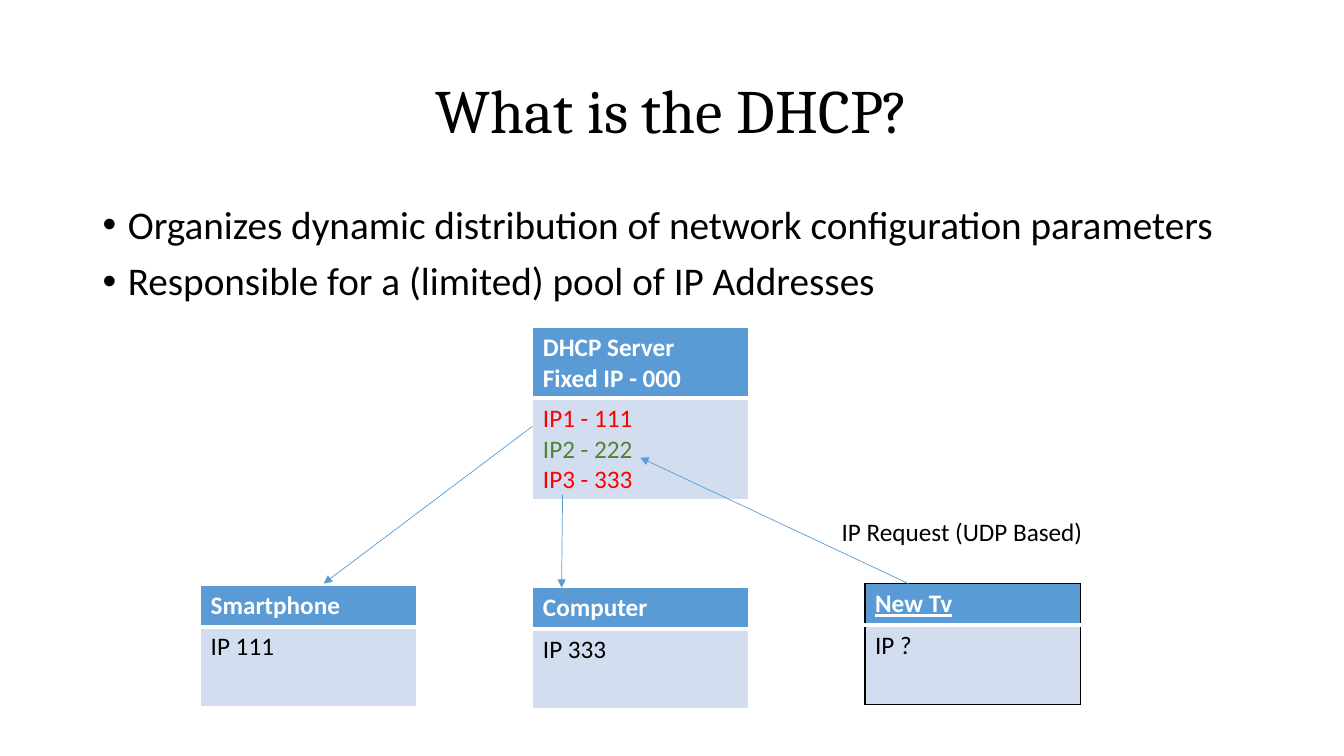
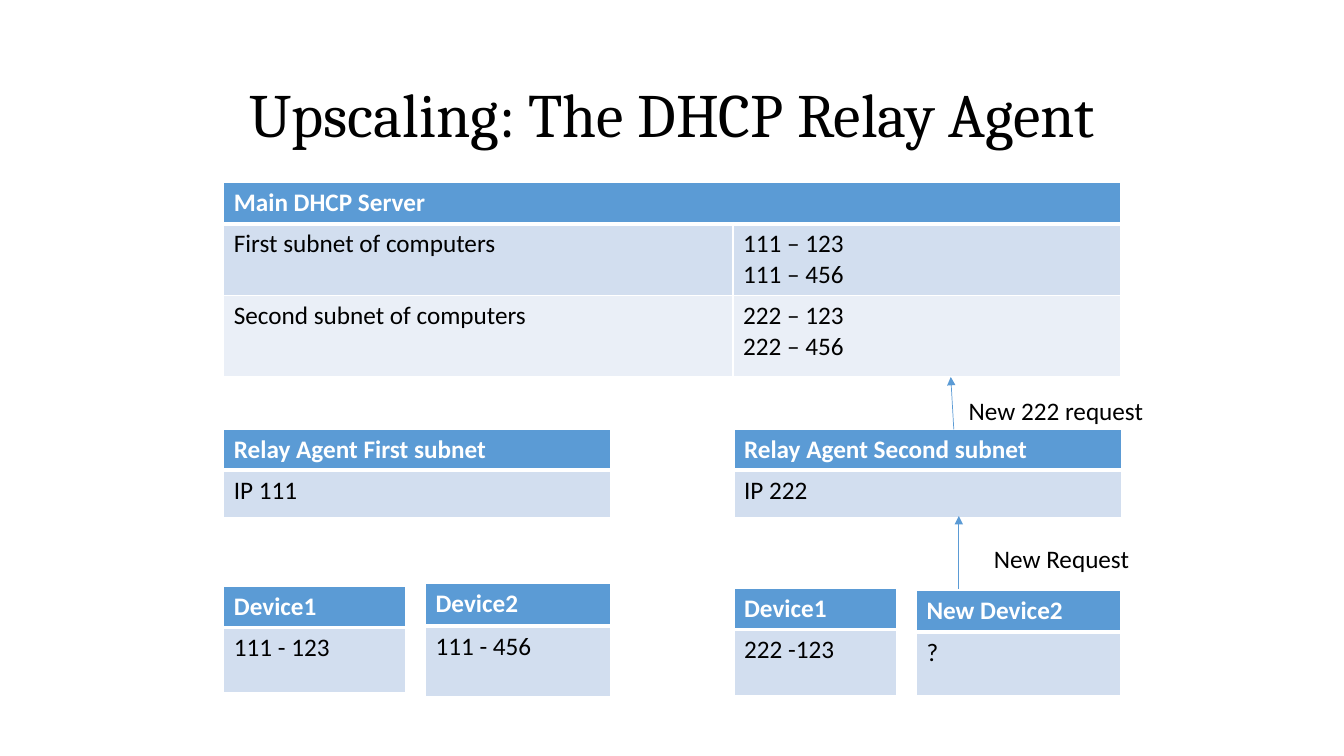
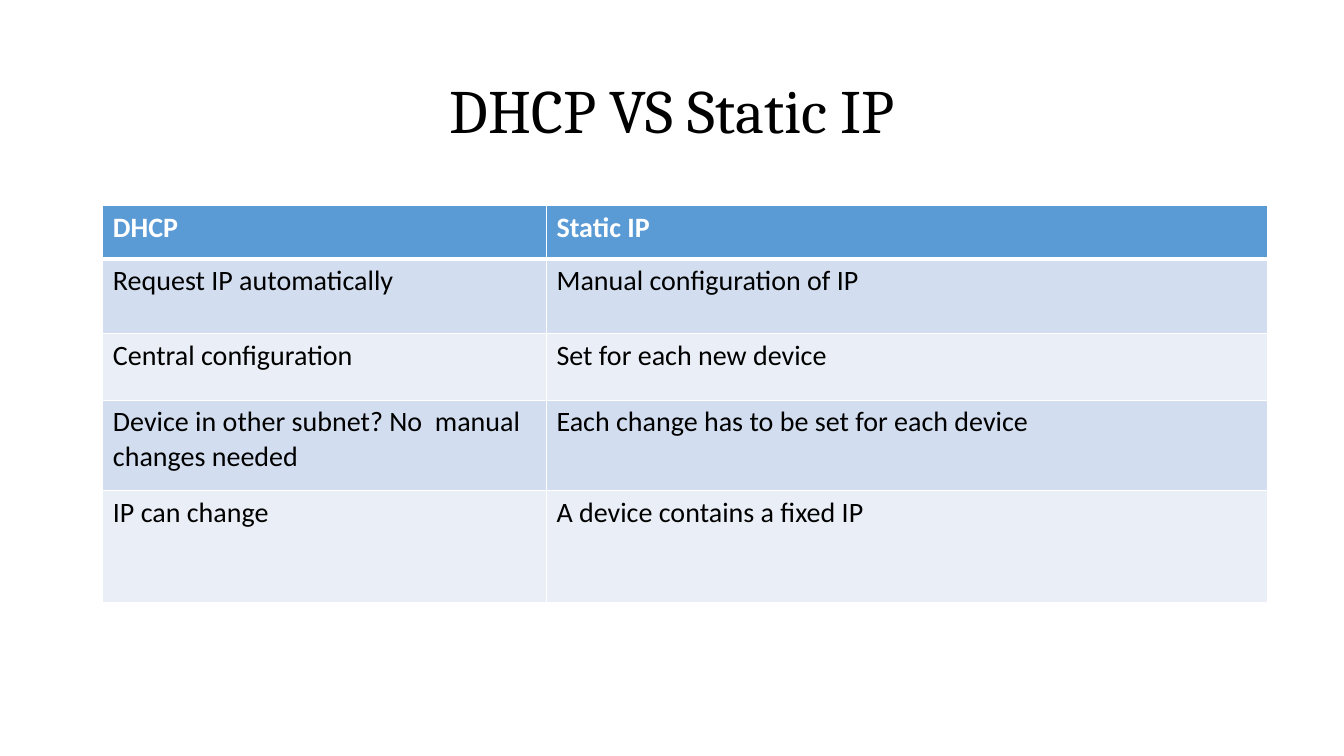
from itertools import cycle

from lxml import etree
from pptx import Presentation
from pptx.dml.color import RGBColor
from pptx.enum.shapes import MSO_CONNECTOR
from pptx.enum.text import MSO_ANCHOR, MSO_AUTO_SIZE, PP_ALIGN
from pptx.oxml.ns import qn
from pptx.util import Inches, Pt

STRAIGHT = MSO_CONNECTOR.STRAIGHT
MIDDLE = MSO_ANCHOR.MIDDLE
FIXED_SIZE = MSO_AUTO_SIZE.NONE
CENTER = PP_ALIGN.CENTER
LEFT = PP_ALIGN.LEFT

COLOURS = {
    "black": "000000",
    "white": "FFFFFF",
    "header": "5B9BD5",
    "dark_band": "D2DEEF",
    "light_band": "EAEFF7",
    "taken": "FF0000",
    "free": "548235",
}
BANDS = ("dark_band", "light_band")
HEADING_FONT, BODY_FONT = "Cambria", "Calibri"
SLIDE_WIDTH, SLIDE_HEIGHT = 13.33, 7.5
TITLE_LEFT, TITLE_WIDTH, TITLE_HEIGHT = 0.92, 11.5, 1.45

CLIENT_LEFT, CLIENT_STEP, CLIENT_WIDTH = 1.99, 3.295, 2.14
CLIENT_ROWS = (0.41, 0.79)
SERVER_LEFT = CLIENT_LEFT + CLIENT_STEP
FIRST_SUBNET, SECOND_SUBNET = 2.22, 7.28
RELAY_TOP, RELAY_WIDTH, RELAY_ROWS = 4.26, 3.84, (0.4, 0.47)

CLIENTS = [
    ("Smartphone", "IP 111", 5.81, {}),
    ("Computer", "IP 333", 5.83, {}),
    ("New Tv", "IP ?", 5.79, {"underline": True, "outline": "black"}),
]
RELAYS = [
    ("Relay Agent First subnet", "IP 111", FIRST_SUBNET),
    ("Relay Agent Second subnet", "IP 222", SECOND_SUBNET),
]
DEVICES = [
    ("Device1", "111 - 123", FIRST_SUBNET, 5.82, 1.8, (0.4, 0.65)),
    ("Device2", "111 - 456", 4.22, 5.79, 1.84, (0.42, 0.7)),
    ("Device1", "222 -123", SECOND_SUBNET, 5.84, 1.61, (0.4, 0.66)),
    ("New Device2", "?", 9.09, 5.86, 2.02, (0.41, 0.63)),
]
SUBNETS = [
    ["Main DHCP Server", ""],
    ["First subnet of computers", "111 – 123\n111 – 456"],
    ["Second subnet of computers", "222 – 123\n222 – 456"],
]
COMPARISON = [
    ["DHCP", "Static IP"],
    ["Request IP automatically", "Manual configuration of IP"],
    ["Central configuration", "Set for each new device"],
    ["Device in other subnet? No  manual changes needed",
     "Each change has to be set for each device"],
    ["IP can change", "A device contains a fixed IP"],
]

SLIDES = [
    {
        "title": "What is the DHCP?",
        "title_top": 0.4,
        "bullets": "Organizes dynamic distribution of network configuration parameters\n"
                   "Responsible for a (limited) pool of IP Addresses",
        "tables": [
            ([["DHCP Server\nFixed IP - 000"], ["IP1 - 111\nIP2 - 222\nIP3 - 333"]],
             SERVER_LEFT, 3.25, (CLIENT_WIDTH,), (0.69, 1.01),
             {"body_colours": ("taken", "free", "taken")}),
        ] + [
            ([[name], [address]], CLIENT_LEFT + column * CLIENT_STEP, top,
             (CLIENT_WIDTH,), CLIENT_ROWS, style)
            for column, (name, address, top, style) in enumerate(CLIENTS)
        ],
        "arrows": [
            ((5.28, 4.23), (3.21, 5.79)),
            ((5.58, 4.91), (5.57, 5.83)),
            ((9.01, 5.79), (6.35, 4.54)),
        ],
        "labels": [("IP Request (UDP Based)", 8.25, 5.07, 2.97)],
    },
    {
        "title": "Upscaling: The DHCP Relay Agent",
        "title_top": 0.44,
        "tables": [
            (SUBNETS, FIRST_SUBNET, 1.81, (5.05, 3.84), (0.41, 0.7, 0.81),
             {"merge_header": True}),
        ] + [
            ([[name], [address]], left, RELAY_TOP, (RELAY_WIDTH,), RELAY_ROWS, {})
            for name, address, left in RELAYS
        ] + [
            ([[name], [address]], left, top, (width,), rows, {})
            for name, address, left, top, width, rows in DEVICES
        ],
        "arrows": [((9.51, 5.84), (9.51, 5.12)), ((9.46, 4.26), (9.43, 3.74))],
        "labels": [
            ("New Request", 9.76, 5.34, 1.6),
            ("New 222 request", 9.51, 3.87, 2.46),
        ],
    },
    {
        "title": "DHCP VS Static IP",
        "title_top": 0.4,
        "tables": [
            (COMPARISON, 1.02, 2.04, (4.4, 7.15), (0.53, 0.74, 0.66, 0.9, 1.11),
             {"size": 20}),
        ],
    },
]


def rgb(name):
    return RGBColor.from_string(COLOURS[name])


def write_text(frame, text, size=18, font=BODY_FONT, colours=("black",), bold=False,
               underline=False, align=LEFT, spacing=1.0, before=0, bullet=False):
    frame.word_wrap = True
    for number, (line, colour) in enumerate(zip(text.split("\n"), cycle(colours))):
        paragraph = frame.add_paragraph() if number else frame.paragraphs[0]
        paragraph.alignment = align
        paragraph.line_spacing = spacing
        paragraph.space_before = Pt(before)
        if bullet:
            properties = paragraph._p.get_or_add_pPr()
            properties.set("marL", str(Inches(0.25)))
            properties.set("indent", str(-Inches(0.25)))
            etree.SubElement(properties, qn("a:buFont"), typeface="Arial")
            etree.SubElement(properties, qn("a:buChar"), char="•")
        run = paragraph.add_run()
        run.text = line
        run.font.size = Pt(size)
        run.font.name = font
        run.font.bold = bold
        run.font.underline = underline
        run.font.color.rgb = rgb(colour)


def add_label(slide, text, left, top, width, height=0.4, **style):
    box = slide.shapes.add_textbox(*map(Inches, (left, top, width, height)))
    write_text(box.text_frame, text, **style)


def set_borders(cell, borders):
    properties = cell._tc.get_or_add_tcPr()
    for position, side in enumerate("LRTB"):
        colour, width = borders[side]
        line = etree.Element(qn("a:ln" + side), w=str(Pt(width)))
        fill = etree.SubElement(line, qn("a:solidFill"))
        etree.SubElement(fill, qn("a:srgbClr"), val=COLOURS[colour])
        properties.insert(position, line)


def add_table(slide, rows, left, top, widths, heights, size=18, underline=False,
              outline="white", body_colours=("black",), merge_header=False):
    table = slide.shapes.add_table(
        len(rows), len(widths),
        *map(Inches, (left, top, sum(widths), sum(heights)))).table
    table.horz_banding = False
    for column, width in zip(table.columns, widths):
        column.width = Inches(width)
    for row, height in zip(table.rows, heights):
        row.height = Inches(height)
    if merge_header:
        table.cell(0, 0).merge(table.cell(0, len(widths) - 1))
    for row_index, row in enumerate(rows):
        header = row_index == 0
        borders = {
            "L": (outline, 1),
            "R": (outline, 1),
            "T": (outline if header else "white", 1),
            "B": ("white", 3) if header else (outline, 1),
        }
        if row_index == 1:
            borders["T"] = ("white", 3)
        for column_index, text in enumerate(row):
            cell = table.cell(row_index, column_index)
            cell.fill.solid()
            cell.fill.fore_color.rgb = rgb(
                "header" if header else BANDS[(row_index - 1) % len(BANDS)])
            set_borders(cell, borders)
            if text:
                write_text(cell.text_frame, text, size=size, bold=header,
                           underline=header and underline,
                           colours=("white",) if header else body_colours)


def add_arrow(slide, start, end):
    arrow = slide.shapes.add_connector(STRAIGHT, *map(Inches, start + end))
    arrow.line.color.rgb = rgb("header")
    arrow.line.width = Pt(0.5)
    etree.SubElement(arrow.line._get_or_add_ln(), qn("a:tailEnd"), type="triangle")
    etree.SubElement(arrow._element.spPr, qn("a:effectLst"))


def add_title(slide, text, top):
    title = slide.shapes.title
    title.left, title.top, title.width, title.height = map(
        Inches, (TITLE_LEFT, top, TITLE_WIDTH, TITLE_HEIGHT))
    title.text_frame.vertical_anchor = MIDDLE
    title.text_frame.auto_size = FIXED_SIZE
    write_text(title.text_frame, text, size=44, font=HEADING_FONT, align=CENTER,
               spacing=0.9)


def main():
    presentation = Presentation()
    presentation.slide_width = Inches(SLIDE_WIDTH)
    presentation.slide_height = Inches(SLIDE_HEIGHT)
    title_only = presentation.slide_layouts.get_by_name("Title Only")
    for content in SLIDES:
        slide = presentation.slides.add_slide(title_only)
        add_title(slide, content["title"], content["title_top"])
        if "bullets" in content:
            add_label(slide, content["bullets"], TITLE_LEFT, 1.99, 11.37, 1.2,
                      size=28, spacing=0.9, before=10, bullet=True)
        for *table, style in content["tables"]:
            add_table(slide, *table, **style)
        for start, end in content.get("arrows", []):
            add_arrow(slide, start, end)
        for label in content.get("labels", []):
            add_label(slide, *label)
    presentation.save("out.pptx")


if __name__ == "__main__":
    main()
